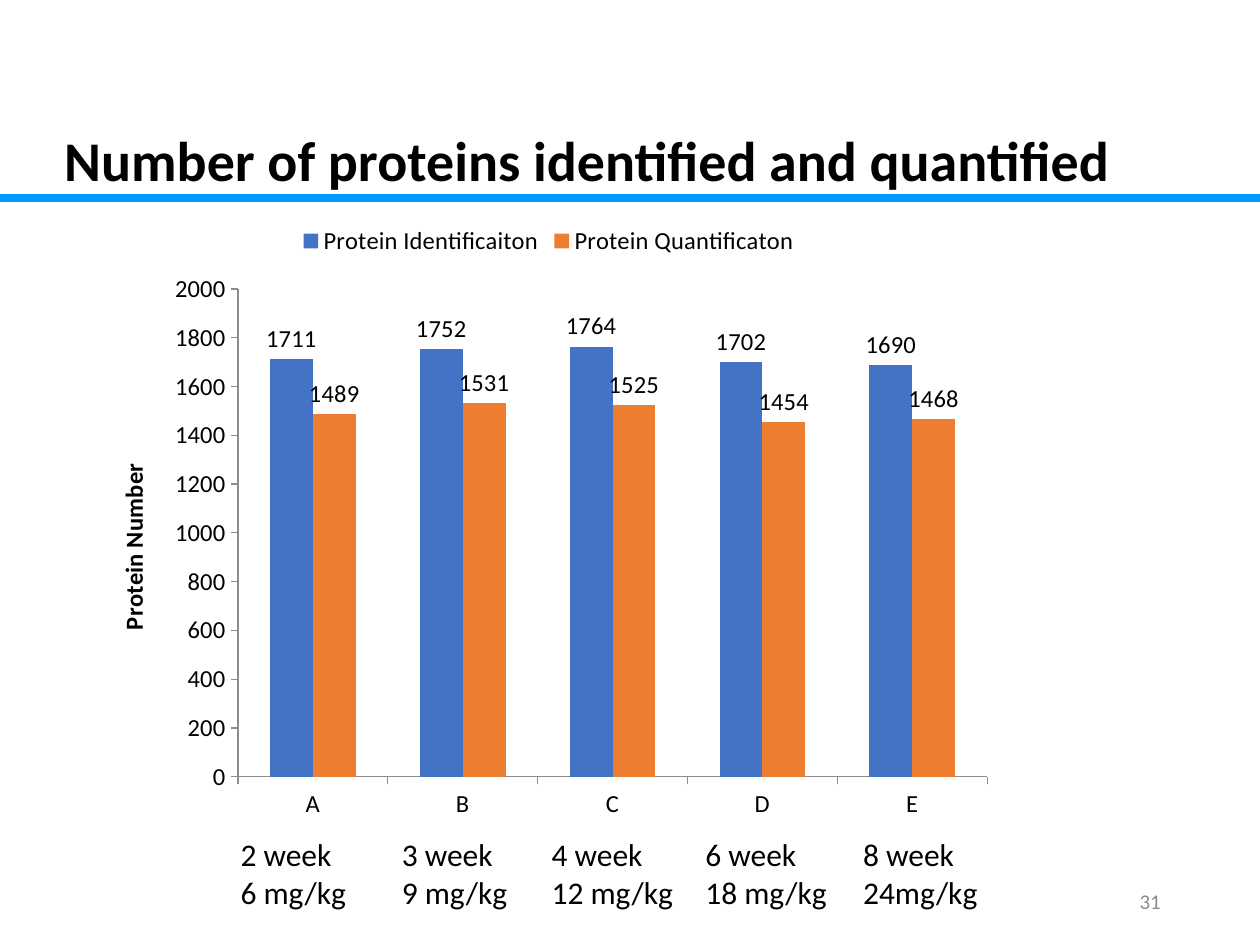
import pptx
import pptx.chart.data
import pptx.dml.color
import pptx.enum.chart
import pptx.enum.shapes
import pptx.enum.text
import pptx.oxml
import pptx.oxml.ns
import pptx.util
from pptx.util import Cm, Pt

FONT = "Calibri"
COLORS = {"text": "000000", "rule": "0099FF", "number": "8C8C8C", "axis": "8C8C8C"}
TITLE = "Number of proteins identified and quantified"
AXIS_TITLE = "Protein Number"
PAGE_NUMBER = "31"
GROUPS = ["A", "B", "C", "D", "E"]
SERIES = [
    ("Protein Identificaiton", "4472C4", [1711, 1752, 1764, 1702, 1690]),
    ("Protein Quantificaton", "ED7D31", [1489, 1531, 1525, 1454, 1468]),
]
# left and width in cm, then the lines of the label
DOSES = [
    (4.6, 2.67, ["2 week", "6 mg/kg"]),
    (7.85, 2.67, ["3 week", "9 mg/kg"]),
    (10.87, 3.0, ["4 week", "12 mg/kg"]),
    (13.97, 3.0, ["6 week", "18 mg/kg"]),
    (17.15, 2.84, ["8 week", "24mg/kg"]),
]
# plot area as fractions of the chart
PLOT = {"x": 0.16, "y": 0.125, "w": 0.82, "h": 0.79}
ALIGN = pptx.enum.text.PP_ALIGN


def rgb(name):
    return pptx.dml.color.RGBColor.from_string(COLORS.get(name, name))


def set_font(font, size, color="text", bold=False):
    font.name, font.size, font.bold = FONT, Pt(size), bold
    font.color.rgb = rgb(color)


def fill_frame(frame, lines, size, color="text", bold=False, align=ALIGN.LEFT):
    frame.text = "\n".join(lines)
    for para in frame.paragraphs:
        para.alignment = align
        set_font(para.font, size, color, bold)


def add_rule(page):
    rule = page.shapes.add_connector(
        pptx.enum.shapes.MSO_CONNECTOR.STRAIGHT, Cm(0), Cm(3.99), Cm(25.4), Cm(3.99))
    rule.line.color.rgb = rgb("rule")
    rule.line.width = Pt(4.5)
    rule._element.spPr.append(pptx.oxml.parse_xml(
        f'<a:effectLst {pptx.oxml.ns.nsdecls("a")}/>'))


def place_plot(chart):
    """Fix the inner plot area at the fractions in PLOT."""
    parts = "".join(f'<c:{key}Mode val="edge"/>' for key in "xy")
    parts += "".join(f'<c:{key} val="{value}"/>' for key, value in PLOT.items())
    layout = pptx.oxml.parse_xml(
        f'<c:layout {pptx.oxml.ns.nsdecls("c")}><c:manualLayout>'
        f'<c:layoutTarget val="inner"/>{parts}</c:manualLayout></c:layout>')
    area = chart._chartSpace.chart.plotArea
    for old in area.findall(pptx.oxml.ns.qn("c:layout")):
        area.remove(old)
    area.insert(0, layout)


def add_protein_chart(page):
    data = pptx.chart.data.CategoryChartData()
    data.categories = GROUPS
    for name, _, values in SERIES:
        data.add_series(name, values)
    chart = page.shapes.add_chart(
        pptx.enum.chart.XL_CHART_TYPE.COLUMN_CLUSTERED,
        Cm(1.85), Cm(4.27), Cm(18.42), Cm(12.45), data).chart
    set_font(chart.font, 14)
    chart.has_title = False
    chart.has_legend = True
    chart.legend.position = pptx.enum.chart.XL_LEGEND_POSITION.TOP
    chart.legend.include_in_layout = False

    for axis in (chart.category_axis, chart.value_axis):
        axis.has_major_gridlines = False
        axis.major_tick_mark = pptx.enum.chart.XL_TICK_MARK.OUTSIDE
        axis.format.line.color.rgb = rgb("axis")
    scale = chart.value_axis
    scale.minimum_scale, scale.maximum_scale, scale.major_unit = 0, 2000, 200
    fill_frame(scale.axis_title.text_frame, [AXIS_TITLE], 14, bold=True, align=ALIGN.CENTER)

    plot = chart.plots[0]
    plot.gap_width, plot.overlap, plot.vary_by_categories = 150, 0, False
    for series, (_, color, _) in zip(plot.series, SERIES):
        series.format.fill.solid()
        series.format.fill.fore_color.rgb = rgb(color)
        labels = series.data_labels
        labels.show_value = True
        labels.position = pptx.enum.chart.XL_LABEL_POSITION.OUTSIDE_END
        set_font(labels.font, 14)
    place_plot(chart)


def main():
    deck = pptx.Presentation()
    deck.slide_width, deck.slide_height = Cm(25.4), Cm(19.05)
    page = deck.slides.add_slide(deck.slide_layouts.get_by_name("Title Only"))
    middle = pptx.enum.text.MSO_ANCHOR.MIDDLE

    title = page.shapes.title
    title.left, title.top, title.width, title.height = Cm(-0.86), Cm(2.59), Cm(25.4), Cm(1.24)
    title.text_frame.vertical_anchor = middle
    title.text_frame.auto_size = pptx.enum.text.MSO_AUTO_SIZE.NONE
    fill_frame(title.text_frame, [TITLE], 32, bold=True, align=ALIGN.CENTER)

    add_rule(page)
    add_protein_chart(page)
    for left, width, lines in DOSES:
        box = page.shapes.add_textbox(Cm(left), Cm(16.71), Cm(width), Cm(1.8))
        box.text_frame.word_wrap = False
        fill_frame(box.text_frame, lines, 18)

    number = page.shapes.add_textbox(Cm(17.93), Cm(17.65), Cm(5.72), Cm(1.02))
    number.text_frame.word_wrap = True
    number.text_frame.vertical_anchor = middle
    fill_frame(number.text_frame, [PAGE_NUMBER], 12, "number", align=ALIGN.RIGHT)
    deck.save("out.pptx")


if __name__ == "__main__":
    main()
